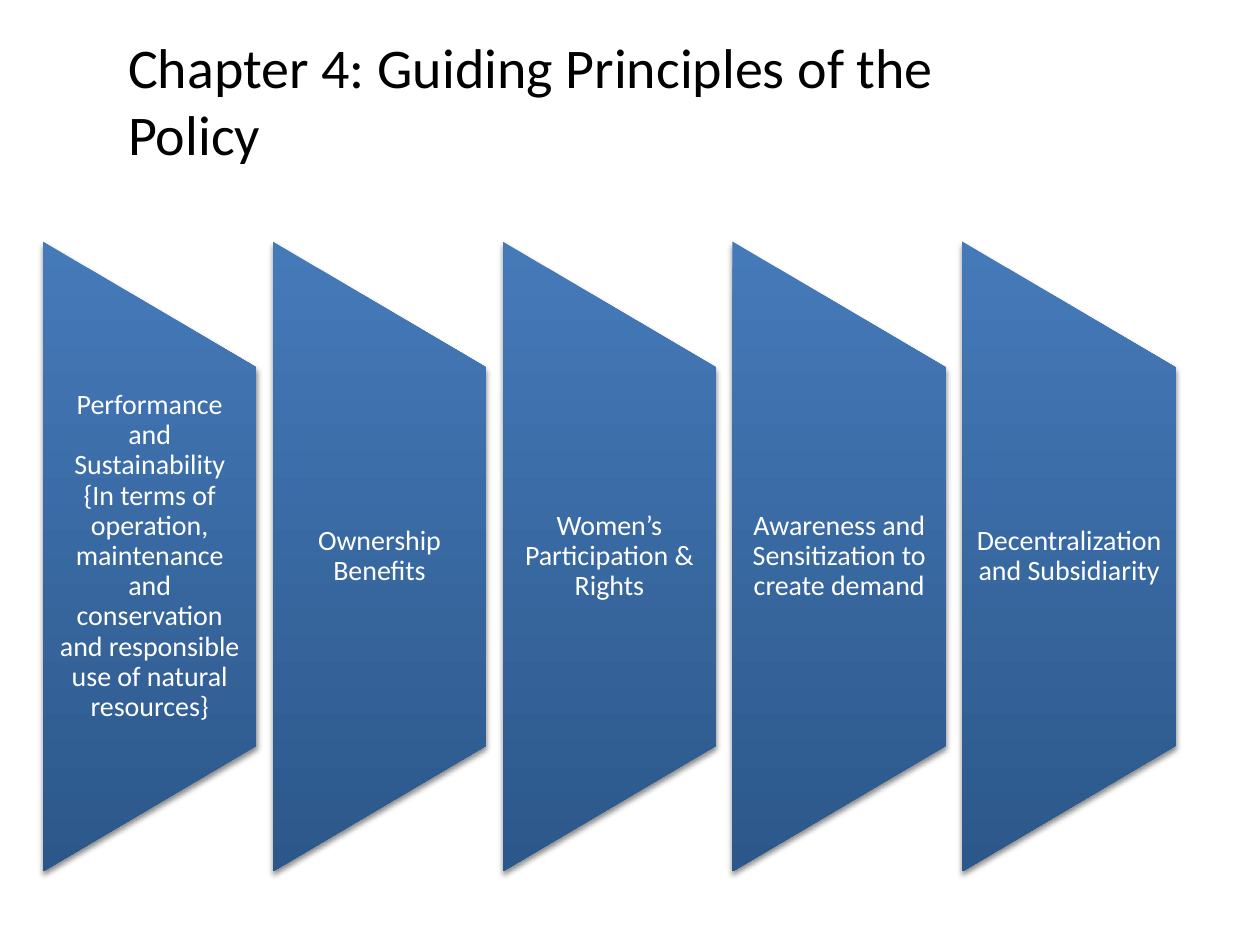
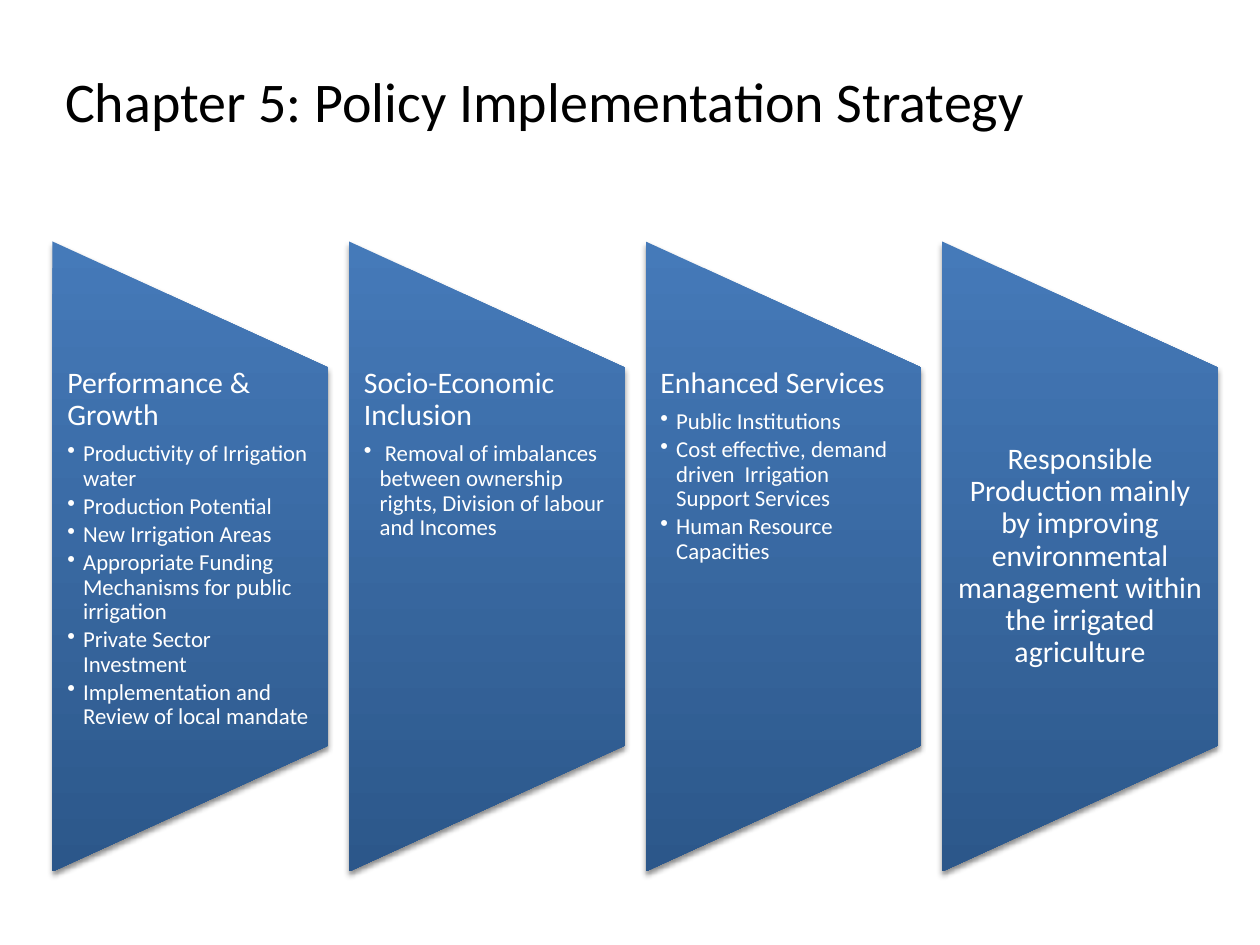
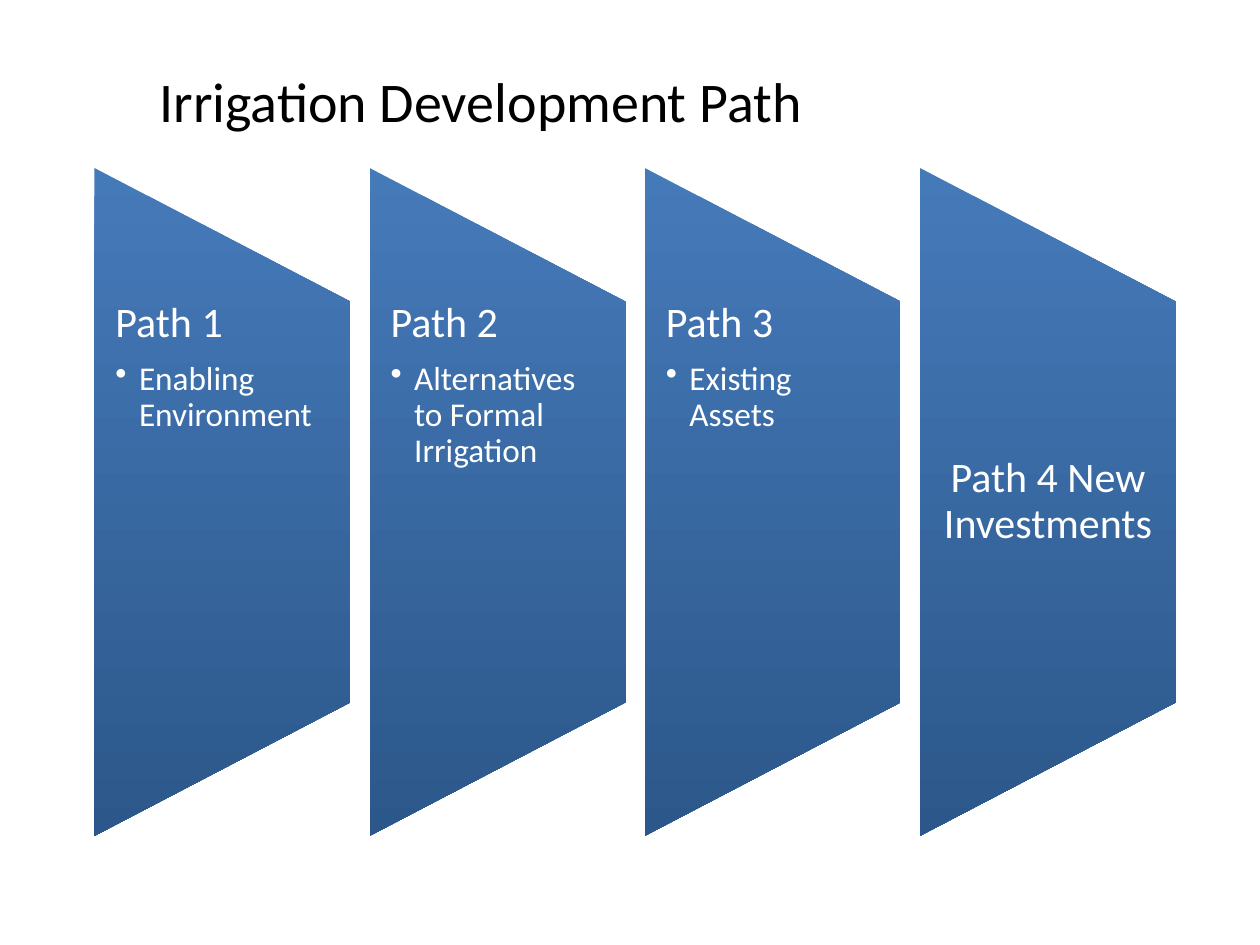
import pptx
import pptx.dml.color
import pptx.enum.shapes
import pptx.enum.text
import pptx.oxml
import pptx.oxml.ns
import pptx.util

Pt = pptx.util.Pt
PP_ALIGN = pptx.enum.text.PP_ALIGN
MSO_ANCHOR = pptx.enum.text.MSO_ANCHOR
qn = pptx.oxml.ns.qn

FONT = "Calibri"
COLORS = {"title": "000000", "text": "FFFFFF", "top": "457AB9", "bottom": "2C578A", "shadow": "000000"}
GAP_RATIO = 0.075

PRINCIPLES = [
    ("Performance and Sustainability {In terms of operation, maintenance and "
     "conservation and responsible use of natural resources}", []),
    ("Ownership Benefits", []),
    ("Women’s Participation & Rights", []),
    ("Awareness and Sensitization to create demand", []),
    ("Decentralization and Subsidiarity", []),
]
STRATEGIES = [
    ("Performance & Growth", [
        "Productivity of Irrigation water",
        "Production Potential",
        "New Irrigation Areas",
        "Appropriate Funding Mechanisms for public irrigation",
        "Private Sector Investment",
        "Implementation and Review of local mandate",
    ]),
    ("Socio-Economic Inclusion", [
        " Removal of imbalances between ownership rights, Division of labour and Incomes",
    ]),
    ("Enhanced Services", [
        "Public Institutions",
        "Cost effective, demand driven  Irrigation Support Services",
        "Human Resource Capacities",
    ]),
    ("Responsible Production mainly by improving environmental management "
     "within the irrigated agriculture", []),
]
PATHS = [
    ("Path 1", ["Enabling Environment"]),
    ("Path 2", ["Alternatives to Formal Irrigation"]),
    ("Path 3", ["Existing Assets"]),
    ("Path 4 New Investments", []),
]


def rgb(name):
    """Return the named colour."""
    return pptx.dml.color.RGBColor.from_string(COLORS[name])


def style_font(font, size, color):
    """Set the typeface, size and colour of a font."""
    font.name = FONT
    font.size = Pt(size)
    font.color.rgb = rgb(color)


def add_title(slide, text, left, width):
    """Place and format the title placeholder."""
    title = slide.shapes.title
    title.left, title.top, title.width, title.height = Pt(left), Pt(12), Pt(width), Pt(90)
    tf = title.text_frame
    tf.text = text
    tf.auto_size = pptx.enum.text.MSO_AUTO_SIZE.NONE
    tf.vertical_anchor = MSO_ANCHOR.MIDDLE
    p = tf.paragraphs[0]
    p.alignment = PP_ALIGN.LEFT
    style_font(p.runs[0].font, 32, "title")


def add_shadow(shape):
    """Give a shape a soft shadow that falls straight down."""
    shadow = pptx.oxml.parse_xml(
        f'<a:outerShdw {pptx.oxml.ns.nsdecls("a")} blurRad="{Pt(3.1)}" dist="{Pt(1.8)}" '
        f'dir="5400000" rotWithShape="0"><a:srgbClr val="{COLORS["shadow"]}">'
        '<a:alpha val="45000"/></a:srgbClr></a:outerShdw>')
    shape._element.spPr.find(qn("a:effectLst")).append(shadow)


def add_blade(slide, left, top, width, height, shadow):
    """Draw one upright blade that narrows to the right."""
    s = slide.shapes.add_shape(
        pptx.enum.shapes.MSO_SHAPE.FLOWCHART_MANUAL_OPERATION,
        Pt(left + (width - height) / 2), Pt(top + (height - width) / 2), Pt(height), Pt(width))
    s.rotation = 270
    s.shadow.inherit = False
    s.line.fill.background()
    s.fill.gradient()
    s.fill.gradient_angle = 270
    for stop, position, color in zip(s.fill.gradient_stops, (0, 1), ("top", "bottom")):
        stop.position = position
        stop.color.rgb = rgb(color)
    s._element.spPr.find(qn("a:gradFill")).set("rotWithShape", "0")
    if shadow:
        add_shadow(s)


def add_bullet(p, indent):
    """Give a paragraph a hanging bullet."""
    p.level = 1
    pPr = p._p.get_or_add_pPr()
    pPr.set("marL", str(Pt(indent)))
    pPr.set("indent", str(-Pt(indent)))
    pPr.append(pptx.oxml.parse_xml(f'<a:buChar {pptx.oxml.ns.nsdecls("a")} char="•"/>'))


def add_blade_text(slide, left, top, width, height, heading, points, sizes, indent):
    """Write a heading and its points in the middle of a blade."""
    heading_size, point_size = sizes
    tf = slide.shapes.add_textbox(
        Pt(left), Pt(top + height * 0.2), Pt(width), Pt(height * 0.6)).text_frame
    tf.word_wrap = True
    tf.margin_left = tf.margin_right = Pt(heading_size / 2)
    tf.margin_top = tf.margin_bottom = 0
    tf.vertical_anchor = MSO_ANCHOR.TOP if points else MSO_ANCHOR.MIDDLE
    tf.text = "\n".join([heading, *points])
    for i, p in enumerate(tf.paragraphs):
        size, after = (point_size, 0.15) if i else (heading_size, 0.35)
        if i:
            add_bullet(p, indent)
        p.alignment = PP_ALIGN.LEFT if points else PP_ALIGN.CENTER
        p.line_spacing = 0.9
        p.space_after = Pt(size * after)
        style_font(p.runs[0].font, size, "text")


def add_blades(slide, box, items, sizes, indent=0, shadow=True):
    """Fill a box with a row of equal blades."""
    left, top, width, height = box
    blade_width = width / (len(items) + (len(items) - 1) * GAP_RATIO)
    for i, (heading, points) in enumerate(items):
        x = left + i * blade_width * (1 + GAP_RATIO)
        add_blade(slide, x, top, blade_width, height, shadow)
        add_blade_text(slide, x, top, blade_width, height, heading, points, sizes, indent)


def main():
    """Build the three slides and save them."""
    prs = pptx.Presentation()
    prs.slide_width, prs.slide_height = Pt(720), Pt(540)
    principles, strategy, paths = (prs.slides.add_slide(prs.slide_layouts[5]) for _ in range(3))

    add_title(principles, "Chapter 4: Guiding Principles of the Policy", 66, 513)
    add_blades(principles, (24.5, 138, 647.5, 360), PRINCIPLES, (16, 16))

    add_title(strategy, "Chapter 5: Policy Implementation Strategy", 30, 666)
    add_blades(strategy, (30, 138, 666, 360), STRATEGIES, (17, 13), 9)

    add_title(paths, "Irrigation Development Path", 84, 513)
    add_blades(paths, (54, 96, 618, 381.6), PATHS, (24, 19), 13.5, shadow=False)

    prs.save("out.pptx")


if __name__ == "__main__":
    main()
